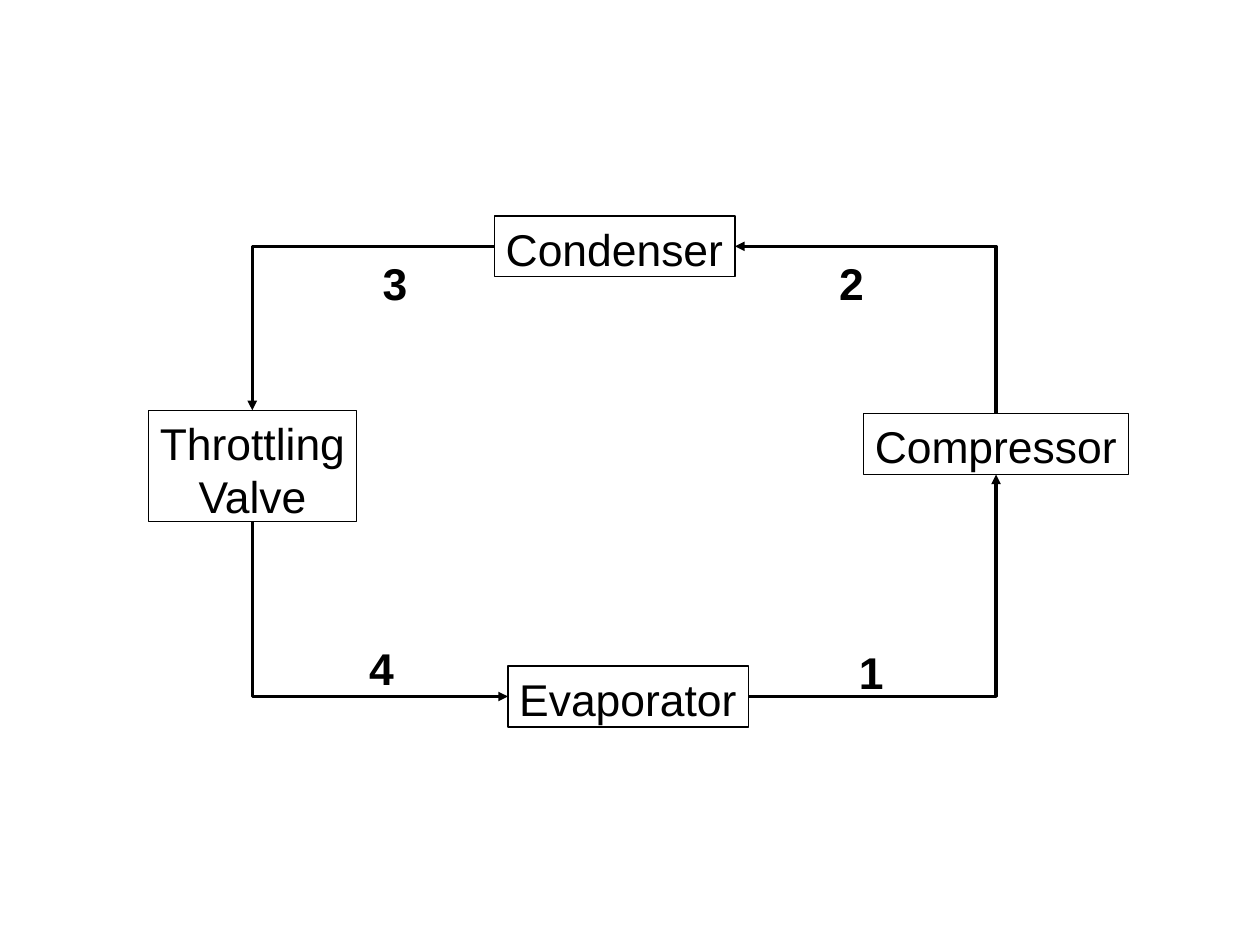
from lxml.etree import SubElement
from pptx import Presentation
from pptx.dml.color import RGBColor
from pptx.enum.shapes import MSO_CONNECTOR as Connector, MSO_SHAPE as Shape
from pptx.enum.text import MSO_ANCHOR as Anchor, MSO_AUTO_SIZE as AutoSize, PP_ALIGN as Align
from pptx.oxml.ns import qn
from pptx.util import Pt

BLACK = RGBColor(0, 0, 0)
TOP, LEFT, BOTTOM, RIGHT = range(4)


class CycleDiagram:
    """Holds the style and the current slide."""
    font_name = "Arial"
    font_size = Pt(28)
    line_width = Pt(0)

    def __init__(self, slide):
        self.slide = slide

    def add_text(self, shape, lines, bold=False, align=Align.LEFT):
        frame = shape.text_frame
        frame.word_wrap = False
        frame.auto_size = AutoSize.SHAPE_TO_FIT_TEXT
        frame.vertical_anchor = Anchor.TOP
        for index, line in enumerate(lines):
            paragraph = frame.add_paragraph() if index else frame.paragraphs[0]
            paragraph.alignment = align
            run = paragraph.add_run()
            run.text = line
            run.font.name = self.font_name
            run.font.size = self.font_size
            run.font.bold = bold
            run.font.color.rgb = BLACK

    def box(self, left, top, width, height, *lines):
        shape = self.slide.shapes.add_shape(
            Shape.RECTANGLE, Pt(left), Pt(top), Pt(width), Pt(height))
        shape.shadow.inherit = False
        shape.fill.background()
        shape.line.color.rgb = BLACK
        shape.line.width = self.line_width
        self.add_text(shape, lines, align=Align.CENTER if len(lines) > 1 else Align.LEFT)
        return shape

    def label(self, left, top, text):
        shape = self.slide.shapes.add_textbox(Pt(left), Pt(top), Pt(29.5), Pt(38.4))
        self.add_text(shape, [text], bold=True)

    def elbow_arrow(self, start, start_side, end, end_side):
        connector = self.slide.shapes.add_connector(Connector.ELBOW, 0, 0, 0, 0)
        connector.begin_connect(start, start_side)
        connector.end_connect(end, end_side)
        connector.line.color.rgb = BLACK
        connector.line.width = self.line_width
        properties = connector._element.spPr
        properties.find(qn("a:prstGeom")).set("prst", "bentConnector2")
        if start_side in (TOP, BOTTOM):
            self.turn_upright(connector)
        SubElement(properties.find(qn("a:ln")), qn("a:tailEnd"), type="triangle")
        SubElement(properties, qn("a:effectLst"))

    def turn_upright(self, connector):
        """Make the elbow leave its start vertically: a quarter turn about its centre."""
        x1, y1 = connector.begin_x, connector.begin_y
        x2, y2 = connector.end_x, connector.end_y
        centre_x, centre_y = (x1 + x2) // 2, (y1 + y2) // 2
        half_x, half_y = (y1 - y2) // 2, (x2 - x1) // 2
        connector.begin_x, connector.begin_y = centre_x - half_x, centre_y - half_y
        connector.end_x, connector.end_y = centre_x + half_x, centre_y + half_y
        connector._element.spPr.find(qn("a:xfrm")).set("rot", str(270 * 60000))


def main():
    presentation = Presentation()
    presentation.slide_width, presentation.slide_height = Pt(793.75), Pt(595.25)
    diagram = CycleDiagram(presentation.slides.add_slide(presentation.slide_layouts[6]))

    # Components of the refrigeration cycle
    compressor = diagram.box(544, 260.5, 167, 38.4, "Compressor")
    evaporator = diagram.box(320, 419.5, 151.5, 38.4, "Evaporator")
    condenser = diagram.box(311.5, 136, 151.5, 38.4, "Condenser")
    valve = diagram.box(93.5, 258.5, 131, 70, "Throttling", "Valve")

    # Flow between the components
    diagram.elbow_arrow(compressor, TOP, condenser, RIGHT)
    diagram.elbow_arrow(condenser, LEFT, valve, TOP)
    diagram.elbow_arrow(valve, BOTTOM, evaporator, LEFT)
    diagram.elbow_arrow(evaporator, RIGHT, compressor, BOTTOM)

    # State points
    diagram.label(534, 402.5, "1")
    diagram.label(521.5, 157.5, "2")
    diagram.label(234, 157.5, "3")
    diagram.label(225.5, 400.5, "4")

    presentation.save("out.pptx")


if __name__ == "__main__":
    main()
